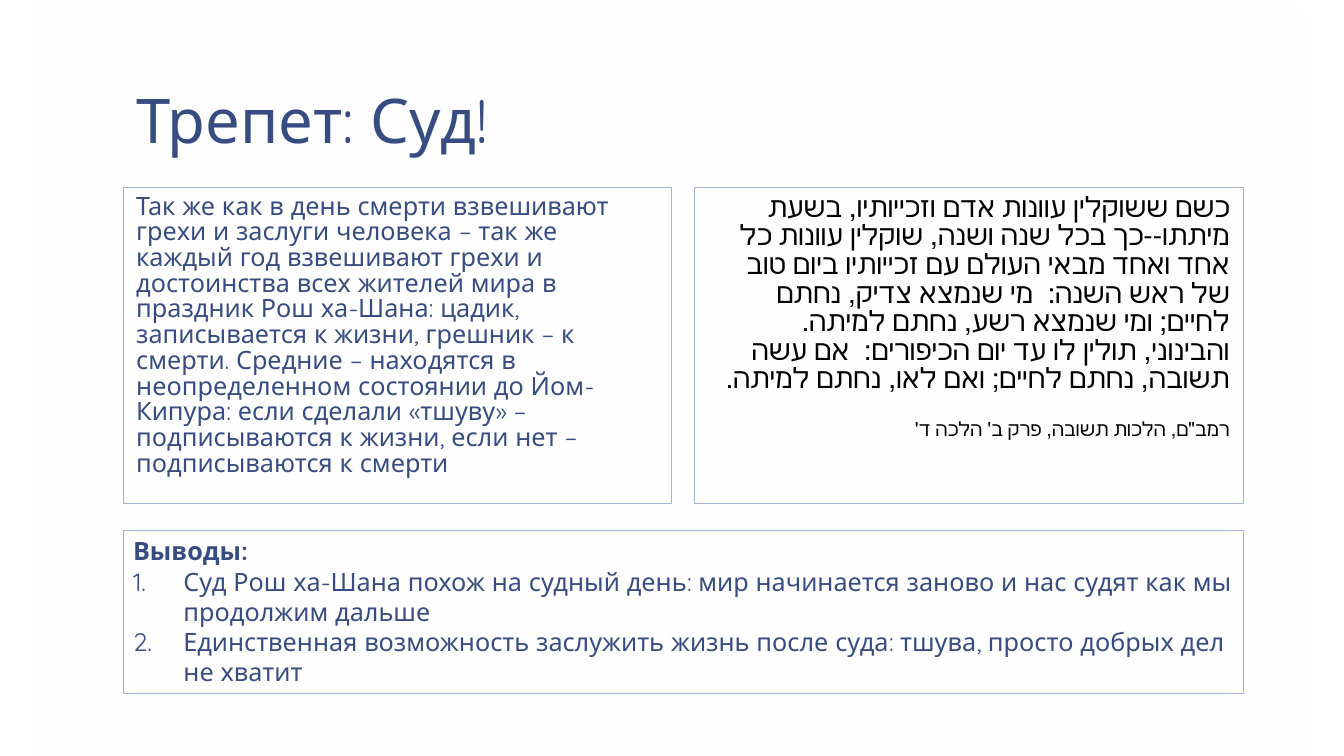
from lxml.etree import SubElement
from pptx import Presentation
from pptx.dml.color import RGBColor
from pptx.enum.shapes import MSO_SHAPE
from pptx.enum.text import MSO_ANCHOR, MSO_AUTO_SIZE, PP_ALIGN
from pptx.oxml.ns import qn
from pptx.util import Inches, Pt

COLORS = {"text": "374C81", "border": "A4B2D8", "hebrew": "000000", "veil": "FFFFFF"}

# Shares of the slide's size, in percent
LEFT, COLUMN, GUTTER = 9.16, 40.8, 1.74
ROWS = {"title": (1.15, 20.4), "quotes": (24.8, 41.87), "conclusions": (70.2, 21.6)}
VEIL = (2.48, 0, 94.97, 100)

NBSP = chr(160)
RUSSIAN_QUOTE = (
    "Так же как в день смерти взвешивают грехи и заслуги человека – так же "
    "каждый год взвешивают грехи и достоинства всех жителей мира в праздник "
    "Рош ха-Шана: цадик, записывается к жизни, грешник – к смерти. Средние – "
    "находятся в неопределенном состоянии до Йом-Кипура: если сделали «тшуву» – "
    "подписываются к жизни, если нет – подписываются к смерти"
)
HEBREW_QUOTE = f"{NBSP} ".join([
    "כשם ששוקלין עוונות אדם וזכייותיו, בשעת מיתתו--כך בכל שנה ושנה, "
    "שוקלין עוונות כל אחד ואחד מבאי העולם עם זכייותיו ביום טוב של ראש השנה:",
    "מי שנמצא צדיק, נחתם לחיים; ומי שנמצא רשע, נחתם למיתה.",
    "והבינוני, תולין לו עד יום הכיפורים:",
    "אם עשה תשובה, נחתם לחיים; ואם לאו, נחתם למיתה.",
])
HEBREW_SOURCE = "רמב\"ם, הלכות תשובה, פרק ב' הלכה ד'"
CONCLUSIONS = [
    "Суд Рош ха-Шана похож на судный день: мир начинается заново и нас судят "
    "как мы продолжим дальше",
    "Единственная возможность заслужить жизнь после суда: тшува, просто добрых "
    "дел не хватит",
]


def write(paragraph, text, size=18, font="Quicksand", color="text", bold=False,
          spacing=None, before=0, rtl=False, numbered=False):
    paragraph.alignment = PP_ALIGN.RIGHT if rtl else PP_ALIGN.LEFT
    paragraph.space_before = Pt(before)
    if spacing:
        paragraph.line_spacing = spacing
    indent = Inches(0.5) if numbered else 0
    properties = paragraph._p.get_or_add_pPr()
    properties.set("marL", str(indent))
    properties.set("indent", str(-indent))
    if rtl:
        properties.set("rtl", "1")
    if numbered:
        SubElement(properties, qn("a:buFont"), typeface="+mj-lt")
        SubElement(properties, qn("a:buAutoNum"), type="arabicPeriod")
    else:
        SubElement(properties, qn("a:buNone"))

    run = paragraph.add_run()
    run.text = text
    run.font.size = Pt(size)
    run.font.name = font
    run.font.bold = bold
    run.font.color.rgb = RGBColor.from_string(COLORS[color])


class CourtSlide:
    def __init__(self, deck):
        self.deck = deck
        self.slide = deck.slides.add_slide(deck.slide_layouts[3])

    def lengths(self, left, top, width, height):
        """Turn shares of the slide into lengths."""
        across, down = self.deck.slide_width, self.deck.slide_height
        return [int(share * side / 100) for share, side in
                ((left, across), (top, down), (width, across), (height, down))]

    def area(self, row, column=0, span=2):
        """Left, top, width and height of a cell range of the grid."""
        top, height = ROWS[row]
        left = LEFT + column * (COLUMN + GUTTER)
        return self.lengths(left, top, span * COLUMN + (span - 1) * GUTTER, height)

    def fill(self, shape, paragraphs, anchor=MSO_ANCHOR.TOP,
             fit=MSO_AUTO_SIZE.NONE, insets=(0.13, 0.07)):
        frame = shape.text_frame
        frame.word_wrap = True
        frame.auto_size = fit
        frame.vertical_anchor = anchor
        frame.margin_left = frame.margin_right = Inches(insets[0])
        frame.margin_top = frame.margin_bottom = Inches(insets[1])
        for index, (text, style) in enumerate(paragraphs):
            paragraph = frame.add_paragraph() if index else frame.paragraphs[0]
            write(paragraph, text, **style)

    def border(self, shape):
        shape.line.color.rgb = RGBColor.from_string(COLORS["border"])
        shape.line.width = Pt(0.75)

    def veil(self):
        """Lay the fading white backdrop behind everything else."""
        backdrop = self.slide.shapes.add_shape(MSO_SHAPE.RECTANGLE, *self.lengths(*VEIL))
        backdrop.shadow.inherit = False
        backdrop.line.fill.background()
        backdrop.fill.gradient()
        backdrop.fill.gradient_angle = 230
        for stop, opacity in zip(backdrop.fill.gradient_stops, (0, 55)):
            stop.color.rgb = RGBColor.from_string(COLORS["veil"])
            tint = stop._gs.find(qn("a:srgbClr"))
            SubElement(tint, qn("a:alpha"), val=str(opacity * 1000))
        self.slide.shapes._spTree.insert(2, backdrop._element)

    def title(self, text):
        heading = self.slide.shapes.title
        heading.left, heading.top, heading.width, heading.height = self.area("title")
        self.fill(heading, [(text, dict(size=44, spacing=0.85))], MSO_ANCHOR.BOTTOM)

    def quote(self, column, paragraphs):
        body = self.slide.placeholders[column + 1]
        body.left, body.top, body.width, body.height = self.area("quotes", column, 1)
        self.border(body)
        self.fill(body, [(text, dict(style, spacing=0.85, before=18.7))
                         for text, style in paragraphs])

    def conclusions(self, heading, items):
        panel = self.slide.shapes.add_textbox(*self.area("conclusions"))
        self.border(panel)
        self.fill(panel, [(heading, dict(bold=True))]
                  + [(item, dict(numbered=True)) for item in items],
                  fit=MSO_AUTO_SIZE.SHAPE_TO_FIT_TEXT, insets=(0.1, 0.05))


def main():
    deck = Presentation()
    deck.slide_width, deck.slide_height = Inches(13.33), Inches(7.5)
    court = CourtSlide(deck)
    court.veil()
    court.title("Трепет: Суд!")
    court.quote(0, [(RUSSIAN_QUOTE, {})])
    hebrew = dict(font="Roboto", color="hebrew", rtl=True)
    court.quote(1, [(HEBREW_QUOTE, dict(hebrew, size=20)),
                    (HEBREW_SOURCE, dict(hebrew, size=14))])
    court.conclusions("Выводы:", CONCLUSIONS)
    deck.save("out.pptx")


if __name__ == "__main__":
    main()
